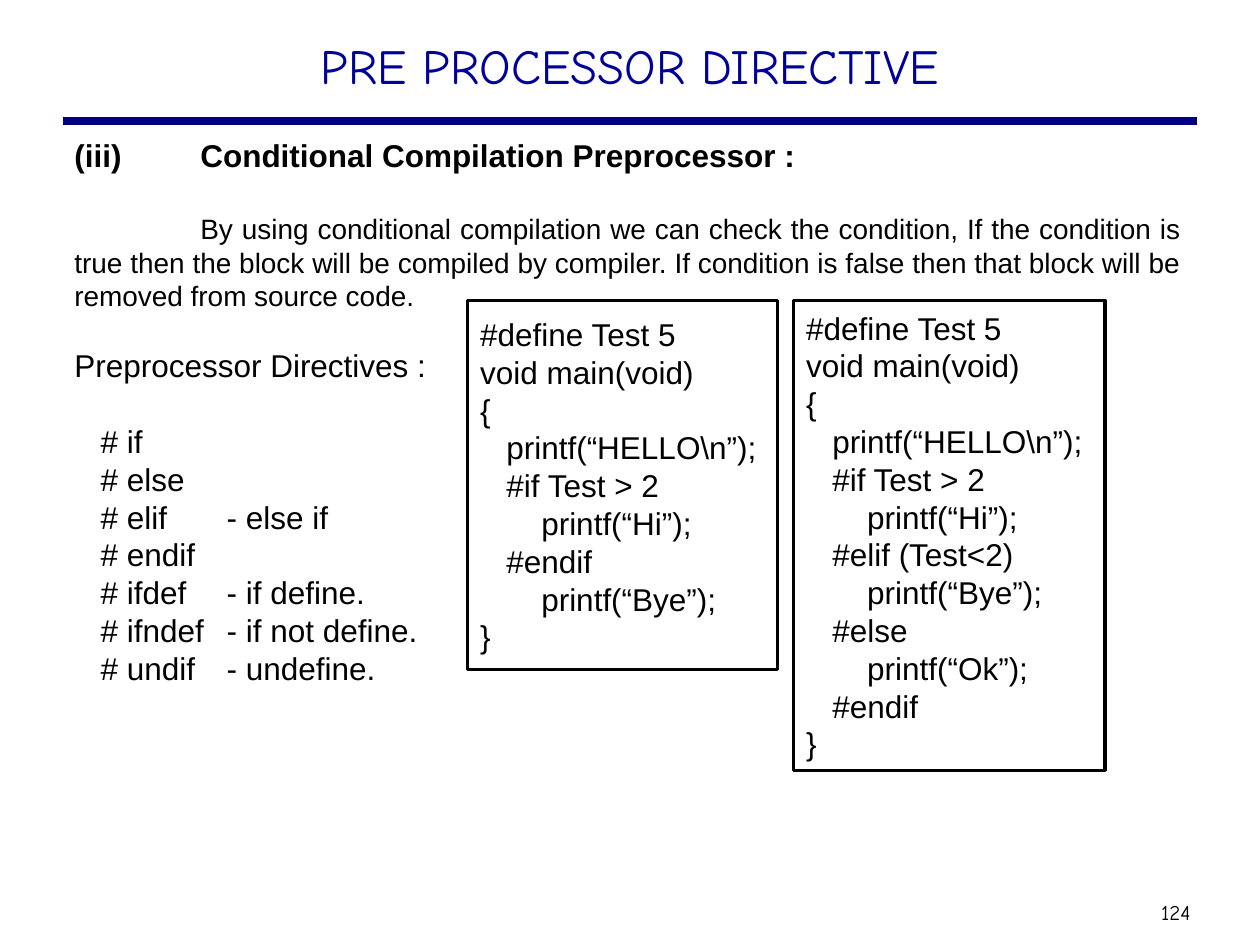
from dataclasses import dataclass

from lxml.etree import SubElement
from pptx import Presentation
from pptx.dml.color import RGBColor
from pptx.enum.shapes import MSO_CONNECTOR, MSO_SHAPE
from pptx.enum.text import MSO_ANCHOR, PP_ALIGN
from pptx.oxml.ns import qn
from pptx.util import Cm, Pt

COLOURS = {"text": "000000", "title": "000099", "rule": "000080"}
BODY_FONT = "Arial"
TITLE_FONT = "Comic Neue"
TAB_STEP = Cm(2.54)


@dataclass
class Line:
    text: str
    size: float = 18
    bold: bool = False
    before: float = 0
    left: float = 0
    first: float = 0


@dataclass
class CodeBox:
    left: float
    width: float
    height: float
    code: str


def colour(name: str) -> RGBColor:
    return RGBColor.from_string(COLOURS[name])


def set_frame(shape, anchor=MSO_ANCHOR.TOP, side=0.25, top=0.13):
    frame = shape.text_frame
    frame.word_wrap = True
    frame.vertical_anchor = anchor
    frame.margin_left = frame.margin_right = Cm(side)
    frame.margin_top, frame.margin_bottom = Cm(top), Cm(0.13)
    return frame


def write_lines(frame, lines: list[Line], align=PP_ALIGN.LEFT,
                font=BODY_FONT, ink="text") -> None:
    for index, line in enumerate(lines):
        paragraph = frame.add_paragraph() if index else frame.paragraphs[0]
        paragraph.text = line.text
        paragraph.alignment = align
        if line.before:
            paragraph.space_before = Pt(line.before)
        properties = paragraph._p.get_or_add_pPr()
        properties.set("marL", str(Cm(line.left)))
        properties.set("indent", str(Cm(line.first)))
        properties.set("defTabSz", str(TAB_STEP))
        paragraph.font.name = font
        paragraph.font.size = Pt(line.size)
        paragraph.font.bold = line.bold
        paragraph.font.color.rgb = colour(ink)


def draw_code_box(page, spec: CodeBox) -> None:
    box = page.shapes.add_shape(MSO_SHAPE.RECTANGLE, Cm(spec.left), Cm(6.06),
                                Cm(spec.width), Cm(spec.height))
    box.shadow.inherit = False
    box.fill.background()
    box.line.color.rgb = colour("text")
    box.line.width = Pt(2)
    lines = [Line(text) for text in spec.code.strip().splitlines()]
    write_lines(set_frame(box, MSO_ANCHOR.MIDDLE), lines)


deck = Presentation()
deck.slide_width, deck.slide_height = Cm(25.4), Cm(19.05)
page = deck.slides.add_slide(deck.slide_layouts[6])

# Rule under the title
rule = page.shapes.add_connector(MSO_CONNECTOR.STRAIGHT,
                                 Cm(1.27), Cm(2.44), Cm(24.13), Cm(2.44))
rule.line.color.rgb = colour("rule")
rule.line.width = Pt(4.5)
SubElement(rule._element.spPr, qn("a:effectLst"))

# Page number
number = page.shapes.add_textbox(Cm(23.11), Cm(18.01), Cm(1.19), Cm(0.76))
write_lines(set_frame(number, MSO_ANCHOR.MIDDLE, side=0.13), [Line("124", 12)],
            PP_ALIGN.CENTER, TITLE_FONT)

# Title
title = page.shapes.add_textbox(Cm(1.9), Cm(0.58), Cm(21.59), Cm(1.65))
write_lines(set_frame(title), [Line("PRE PROCESSOR DIRECTIVE", 28)],
            PP_ALIGN.CENTER, TITLE_FONT, "title")

# Explanation and list of directives, with an en space after each dash
directives = ["# if", "# else", "# elif\t- else if", "# endif",
              "# ifdef\t- if define.", "# ifndef\t- if not define.",
              "# undif\t- undefine."]
body_lines = [
    Line("(iii)\tConditional Compilation Preprocessor :", bold=True),
    Line("By using conditional compilation we can check the condition, If the "
         "condition is true then the block will be compiled by compiler. If "
         "condition is false then that block will be removed from source code.",
         size=16, before=21.5, first=2.54),
    Line("Preprocessor Directives :", before=19),
]
body_lines += [Line(text, before=0 if index else 22, left=0.53)
               for index, text in enumerate(directives)]
body = page.shapes.add_textbox(Cm(1.25), Cm(2.41), Cm(22.81), Cm(15.8))
write_lines(set_frame(body, top=0.34), body_lines, PP_ALIGN.JUSTIFY)

# Code examples
OPENING = r"""
#define Test 5
void main(void)
{
   printf(“HELLO\n”);
   #if Test > 2
       printf(“Hi”);
"""
IF_CODE = OPENING + """   #endif
       printf(“Bye”);
}"""
ELIF_CODE = OPENING + """   #elif (Test<2)
       printf(“Bye”);
   #else
       printf(“Ok”);
   #endif
}"""
for example in (CodeBox(9.43, 6.25, 7.44, IF_CODE),
                CodeBox(16, 6.28, 9.47, ELIF_CODE)):
    draw_code_box(page, example)

deck.save("out.pptx")
